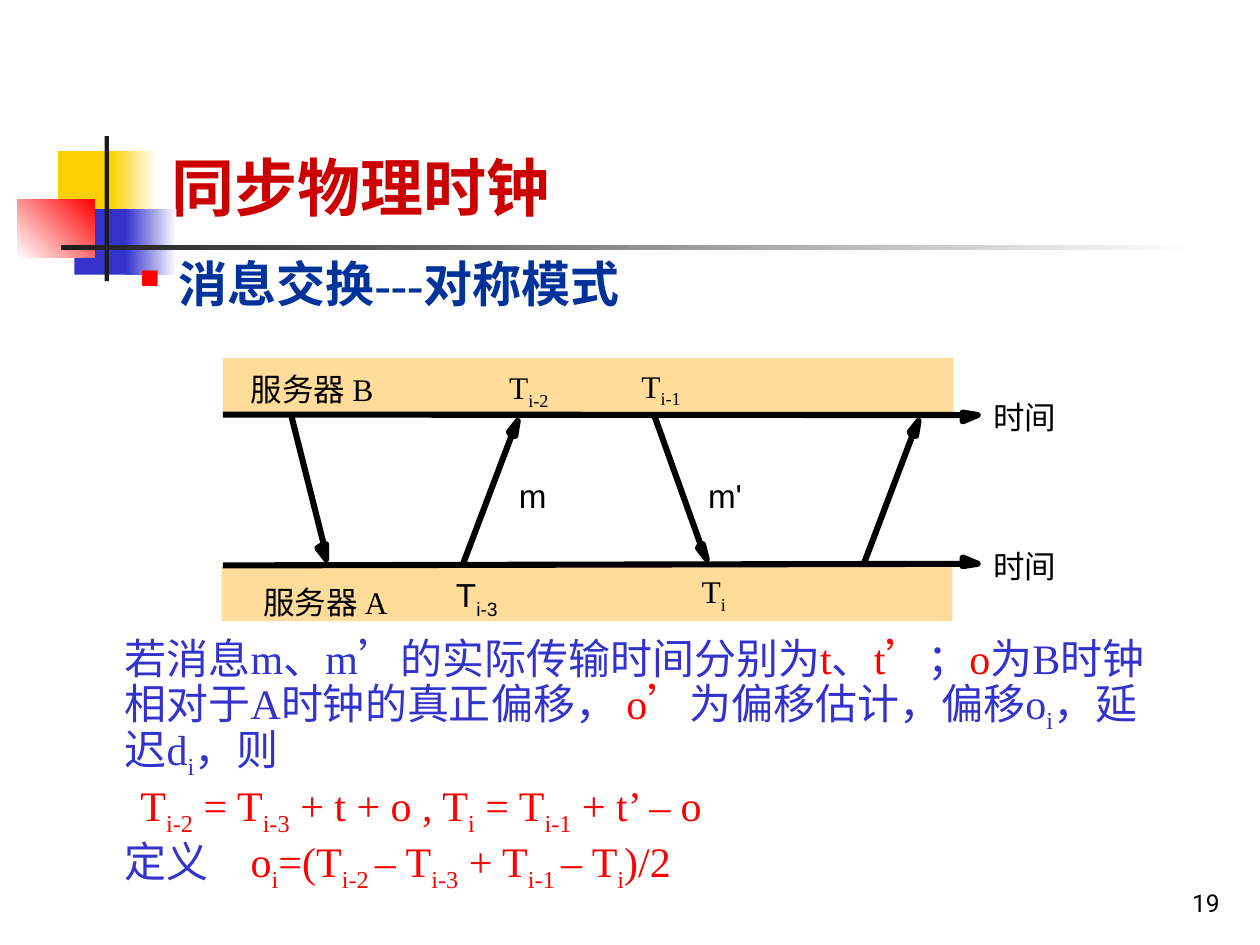
from lxml import etree
from pptx import Presentation
from pptx.dml.color import RGBColor
from pptx.enum.shapes import MSO_CONNECTOR, MSO_SHAPE
from pptx.enum.text import MSO_ANCHOR, PP_ALIGN
from pptx.oxml.ns import qn
from pptx.util import Pt

RECTANGLE = MSO_SHAPE.RECTANGLE
STRAIGHT = MSO_CONNECTOR.STRAIGHT
LEFT, RIGHT = PP_ALIGN.LEFT, PP_ALIGN.RIGHT
BOTTOM, TOP = MSO_ANCHOR.BOTTOM, MSO_ANCHOR.TOP

YELLOW = RGBColor(0xFF, 0xCF, 0x01)
BLUE = RGBColor(0x33, 0x33, 0xCC)
RED = RGBColor(0xFF, 0x00, 0x00)
WHITE = RGBColor(0xFF, 0xFF, 0xFF)
BLACK = RGBColor(0x00, 0x00, 0x00)
CHARCOAL = RGBColor(0x1C, 0x1C, 0x1C)
SAND = RGBColor(0xFF, 0xDC, 0x99)
TITLE_RED = RGBColor(0xCC, 0x00, 0x00)
HEADING_BLUE = RGBColor(0x00, 0x33, 0x99)

SERIF, SANS, CJK, NUMBER = "Times New Roman", "Arial", "Noto Sans CJK JP", "Roboto"
STROKE = 3.5
TIGHT = 0.8

# Arrowhead outlines, relative to the end of the shaft
UP = [(0, 0), (-1.4, -2.2), (3.6, -8.6), (2.2, 0)]
DOWN = [(0, 0), (1.4, 0), (3.6, 8.6), (-1.4, 2.2)]
STEEP_DOWN = [(0, 0), (1.4, 0), (1.4, 8.6), (-3.6, 2.2)]
AXIS_B = [(0, 0), (0, -1.4), (8.6, 0), (0, 3.6)]
AXIS_A = [(0, 0), (0, -3.6), (8.6, 0), (0, 1.4)]


class SlideWriter:
    def __init__(self, slide):
        self.slide = slide
        self.shapes = slide.shapes

    def title(self, text, left, top, width, height):
        box = self.shapes.title
        box.left, box.top, box.width, box.height = map(Pt, (left, top, width, height))
        box.text_frame.vertical_anchor = BOTTOM
        para = box.text_frame.paragraphs[0]
        para.alignment = LEFT
        para.add_run().text = text
        self.font(para, CJK, 36, TITLE_RED, True)

    def font(self, para, name, size, color=None, bold=False):
        para.font.name, para.font.size, para.font.bold = name, Pt(size), bold
        if color is not None:
            para.font.color.rgb = color

    def rect(self, left, top, width, height, color, fade_to=None, angle=0):
        box = self.shapes.add_shape(RECTANGLE, *map(Pt, (left, top, width, height)))
        box.shadow.inherit = False
        box.line.fill.background()
        if fade_to is None:
            box.fill.solid()
            box.fill.fore_color.rgb = color
        else:
            box.fill.gradient()
            box.fill.gradient_angle = angle
            for stop, shade in zip(box.fill.gradient_stops, (color, fade_to)):
                stop.color.rgb = shade

    def arrow(self, start, end, head):
        points = [(Pt(end[0] + x), Pt(end[1] + y)) for x, y in head]
        builder = self.shapes.build_freeform(*points[0])
        builder.add_line_segments(points[1:], close=True)
        tip = builder.convert_to_shape()
        tip.shadow.inherit = False
        tip.fill.solid()
        tip.fill.fore_color.rgb = BLACK
        shaft = self.shapes.add_connector(STRAIGHT, *map(Pt, start + end))
        etree.SubElement(shaft._element.spPr, qn("a:effectLst"))
        for part in (tip, shaft):
            part.line.color.rgb = BLACK
            part.line.width = Pt(STROKE)
        etree.SubElement(tip._element.spPr.get_or_add_ln(), qn("a:round"))

    def frame(self, left, top, width, height):
        box = self.shapes.add_textbox(*map(Pt, (left, top, width, height)))
        frame = box.text_frame
        frame.margin_left = frame.margin_right = frame.margin_top = frame.margin_bottom = 0
        frame.word_wrap = True
        return frame

    def spans(self, para, markup, color=None):
        """Add runs; parts between tildes are subscripts."""
        for index, part in enumerate(markup.split("~")):
            if not part:
                continue
            span = para.add_run()
            span.text = part
            if color is not None:
                span.font.color.rgb = color
            if index % 2:
                span._r.get_or_add_rPr().set("baseline", "-25000")

    def label(self, markup, left, top, width, height, name=SERIF, size=18):
        para = self.frame(left, top, width, height).paragraphs[0]
        self.spans(para, markup)
        self.font(para, name, size, BLACK)

    def bullet(self, text, left, top, width, height, indent):
        para = self.frame(left, top, width, height).paragraphs[0]
        para.line_spacing = TIGHT
        props = para._p.get_or_add_pPr()
        props.set("marL", str(Pt(indent)))
        props.set("indent", str(-Pt(indent)))
        shade = etree.SubElement(props, qn("a:buClr"))
        etree.SubElement(shade, qn("a:srgbClr"), val=str(RED))
        etree.SubElement(props, qn("a:buSzPct"), val="55000")
        etree.SubElement(props, qn("a:buChar"), char="■")
        para.add_run().text = text
        self.font(para, SERIF, 28, HEADING_BLUE, True)

    def body(self, paragraphs, left, top, width, height, tab):
        frame = self.frame(left, top, width, height)
        frame.vertical_anchor = TOP
        for index, (before, indent, parts) in enumerate(paragraphs):
            para = frame.add_paragraph() if index else frame.paragraphs[0]
            para.line_spacing = TIGHT
            para.space_before = Pt(before)
            props = para._p.get_or_add_pPr()
            props.set("indent", str(Pt(indent)))
            stops = etree.SubElement(props, qn("a:tabLst"))
            etree.SubElement(stops, qn("a:tab"), pos=str(Pt(tab)), algn="l")
            for color, markup in parts:
                self.spans(para, markup, color)
            self.font(para, SERIF, 24)

    def page_number(self, text, left, top, width, height):
        frame = self.frame(left, top, width, height)
        frame.vertical_anchor = BOTTOM
        para = frame.paragraphs[0]
        para.alignment = RIGHT
        para.add_run().text = text
        self.font(para, NUMBER, 14, BLACK)


def main():
    deck = Presentation()
    deck.slide_width, deck.slide_height = Pt(720), Pt(540)
    page = SlideWriter(deck.slides.add_slide(deck.slide_layouts[5]))

    # Corner decoration and title rule
    page.rect(33.1, 86.4, 34.6, 37.4, YELLOW)
    page.rect(63.4, 86.4, 25.9, 37.4, YELLOW, WHITE)
    page.rect(42.5, 119.5, 33.1, 37.4, BLUE)
    page.rect(72, 119.5, 28.8, 37.4, BLUE, WHITE)
    page.rect(10, 113.8, 44, 33.1, WHITE, RED, 45)
    page.rect(59.8, 77.8, 2.5, 82.8, CHARCOAL)
    page.rect(34.6, 140.2, 648, 2.5, CHARCOAL, WHITE)

    # Title, heading and page number
    page.title("同步物理时钟", 90.7, 16.6, 613.4, 115.2)
    page.bullet("消息交换---对称模式", 79.9, 151.2, 580, 32, 22.3)
    page.page_number("19", 561.6, 491.8, 135.4, 32.4)

    # Messages between the servers
    for start, end, head in [
        ((493.2, 323.3), (521.3, 249.1), UP),
        ((373.7, 236.9), (400.3, 311), DOWN),
        ((264.2, 323.3), (292.3, 249.1), UP),
        ((166.3, 236.9), (185, 311), STEEP_DOWN),
    ]:
        page.arrow(start, end, head)

    # Server bands and time axes
    page.rect(126.7, 323.3, 417.6, 31.7, SAND)
    page.rect(127.4, 204.5, 417.6, 31.7, SAND)
    page.arrow((127.4, 236.9), (550.1, 237.2), AXIS_B)
    page.arrow((127.4, 323.1), (550.1, 322.2), AXIS_A)

    # Diagram labels
    page.label("T~i~", 401, 326.9, 20, 24.5)
    page.label("T~i-1~", 366.5, 209.5, 28, 24.5)
    page.label("T~i-2~", 290.9, 210.2, 28, 24.5)
    page.label("T~i-3~", 260.6, 328.3, 30, 25.9, SANS, 19)
    page.label("服务器 B", 143.3, 211.7, 82, 21.6)
    page.label("服务器 A", 150.5, 333.4, 82, 21.6)
    for top in (227.5, 312.5):
        page.label("时间", 567.7, top, 42, 21.6, SANS)
    page.label("m", 296.6, 271.4, 20, 23, SANS, 19)
    page.label("m'", 404.6, 271.4, 24, 23, SANS, 19)

    # Explanation and formulas: space before, first-line indent, coloured parts
    page.body([
        (0, 0, [(BLUE, "若消息m、m’的实际传输时间分别为"), (RED, "t"), (BLUE, "、"),
                (RED, "t’"), (BLUE, "；"), (RED, "o"),
                (BLUE, "为B时钟相对于A时钟的真正偏移， "), (RED, "o’"),
                (BLUE, "为偏移估计，偏移o~i~，延迟d~i~，则")]),
        (6, 9, [(RED, "T~i-2~ = T~i-3~ + t + o , T~i~ = T~i-1~ + t’ – o")]),
        (6, 0, [(BLUE, "定义\t"), (RED, "o~i~=(T~i-2 ~– T~i-3~ + T~i-1 ~– T~i~)/2")]),
    ], 71.3, 367, 593.3, 145, 78)

    deck.save("out.pptx")


if __name__ == "__main__":
    main()
